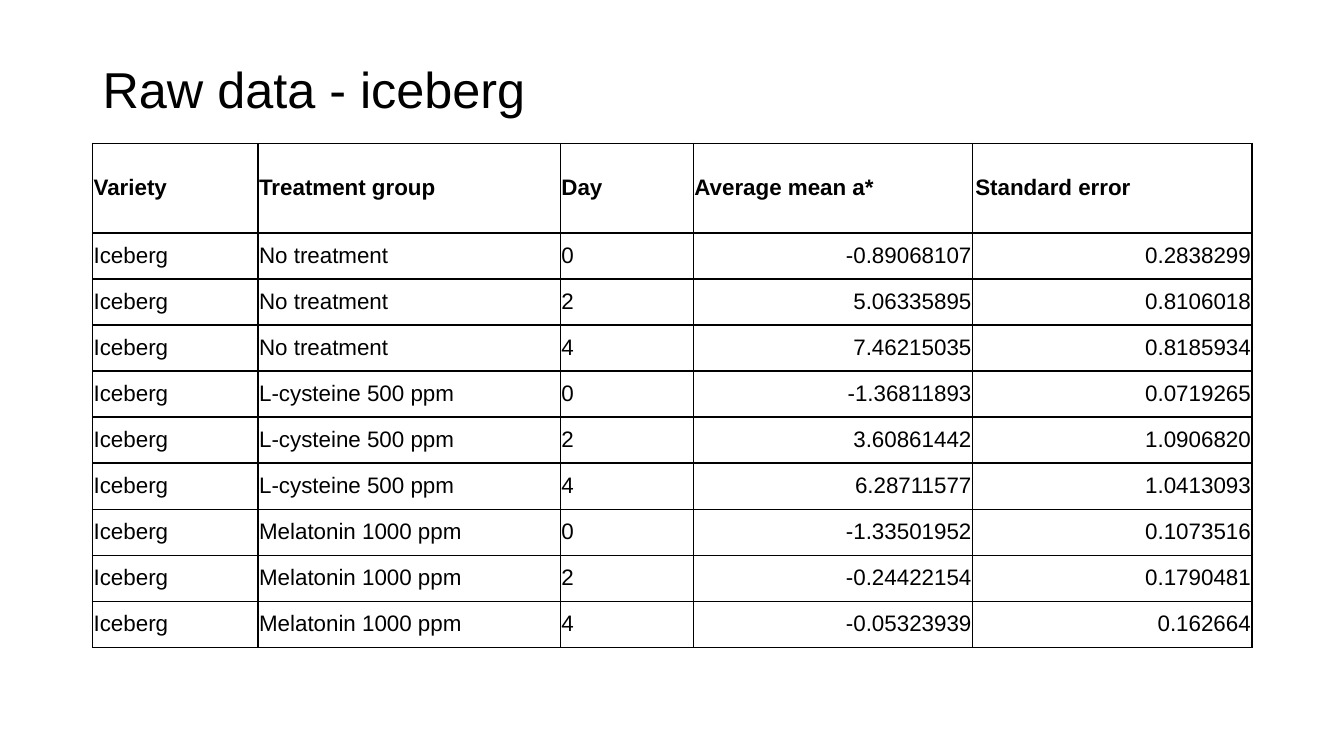
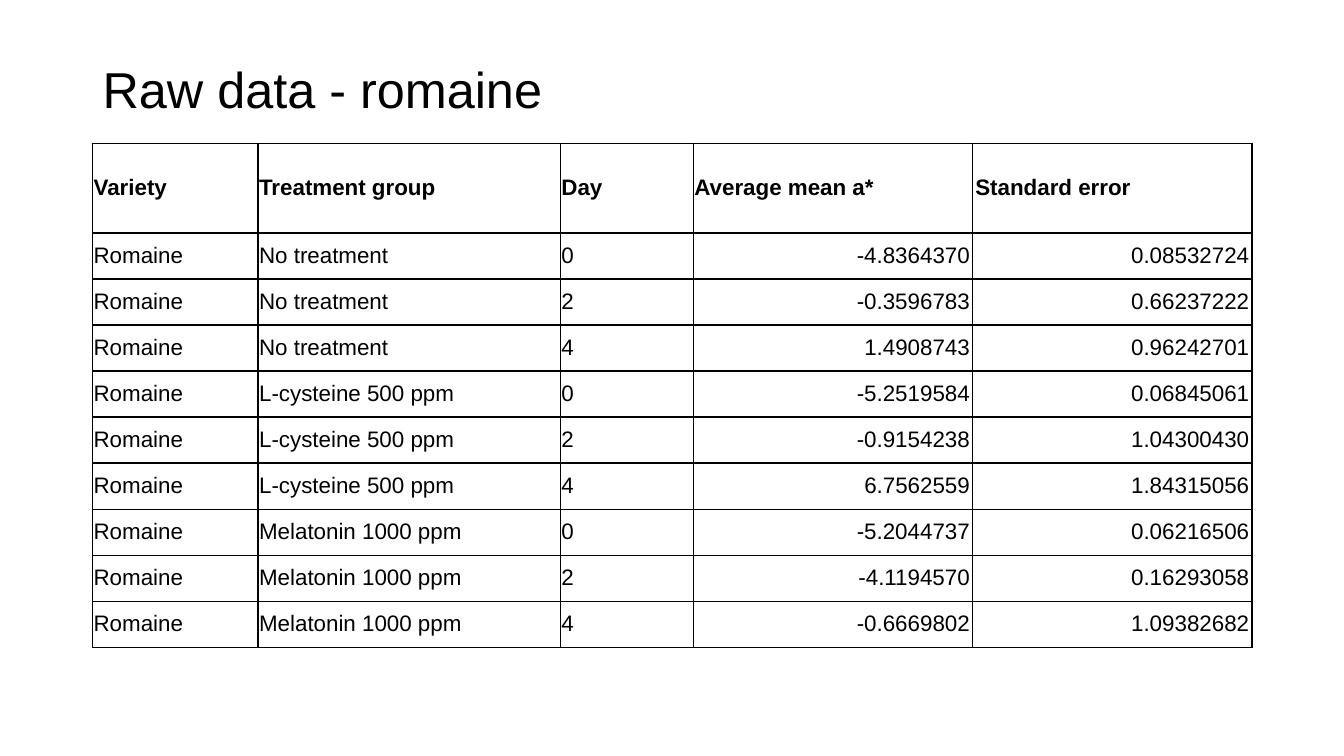
from pptx import Presentation
from pptx import util as u
from pptx.dml import color
from pptx.enum import text
from pptx.oxml import parse_xml
from pptx.oxml import ns

# Content: one entry per slide, with (average, standard error) in table order
HEADINGS = ["Variety", "Treatment group", "Day", "Average mean a*", "Standard error"]
TREATMENTS = ["No treatment", "L-cysteine 500 ppm", "Melatonin 1000 ppm"]
DAYS = ["0", "2", "4"]
VARIETIES = [
    {
        "title": "Raw data - iceberg",
        "variety": "Iceberg",
        "number_margins": (0.03, 0.03),
        "results": [
            ("-0.89068107", "0.2838299"),
            ("5.06335895", "0.8106018"),
            ("7.46215035", "0.8185934"),
            ("-1.36811893", "0.0719265"),
            ("3.60861442", "1.0906820"),
            ("6.28711577", "1.0413093"),
            ("-1.33501952", "0.1073516"),
            ("-0.24422154", "0.1790481"),
            ("-0.05323939", "0.162664"),
        ],
    },
    {
        "title": "Raw data - romaine",
        "variety": "Romaine",
        "number_margins": (0.07, 0.05),
        "results": [
            ("-4.8364370", "0.08532724"),
            ("-0.3596783", "0.66237222"),
            ("1.4908743", "0.96242701"),
            ("-5.2519584", "0.06845061"),
            ("-0.9154238", "1.04300430"),
            ("6.7562559", "1.84315056"),
            ("-5.2044737", "0.06216506"),
            ("-4.1194570", "0.16293058"),
            ("-0.6669802", "1.09382682"),
        ],
    },
]

# Shared style, lengths in centimetres
BLACK, WHITE = "000000", "FFFFFF"
LEFT, WIDTH = 2.33, 29.21
TITLE_TOP, TITLE_HEIGHT = 1.02, 2.59
TABLE_TOP = TITLE_TOP + TITLE_HEIGHT
COLUMN_WIDTHS = [4.17, 7.62, 3.35, 7.04, 7.04]
HEADER_HEIGHT, ROW_HEIGHT = 2.26, 1.16
FIRST_NUMBER_COLUMN = 3
TEXT_MARGINS = (0.03, 0.03)
HEADER_END_MARGINS = (0.07, 0.03)
TITLE_FONT = {"name": "Arial", "size": u.Pt(36), "bold": False}
HEADER_FONT = {"name": "Arial", "size": u.Pt(16), "bold": True}
BODY_FONT = {**HEADER_FONT, "bold": False}


def set_values(target, values):
    for name, value in values.items():
        setattr(target, name, value)


def paint(color_format, hex_color):
    color_format.rgb = color.RGBColor.from_string(hex_color)


def format_paragraph(paragraph, font, alignment):
    paragraph.alignment = alignment
    set_values(paragraph.runs[0].font, font)
    paint(paragraph.runs[0].font.color, BLACK)


def add_borders(cell):
    properties = cell._tc.get_or_add_tcPr()
    for side in "LRTB":
        properties.append(parse_xml(
            f'<a:ln{side} {ns.nsdecls("a")} w="{u.Pt(1)}"><a:solidFill>'
            f'<a:srgbClr val="{BLACK}"/></a:solidFill></a:ln{side}>'))


def fill_cell(cell, value, font, alignment, margins):
    horizontal, vertical = map(u.Cm, margins)
    cell.text = value
    set_values(cell, {
        "margin_left": horizontal, "margin_right": horizontal,
        "margin_top": vertical, "margin_bottom": vertical,
        "vertical_anchor": text.MSO_ANCHOR.MIDDLE,
    })
    format_paragraph(cell.text_frame.paragraphs[0], font, alignment)
    add_borders(cell)
    cell.fill.solid()
    paint(cell.fill.fore_color, WHITE)


def add_title(slide, wording):
    title = slide.shapes.title
    set_values(title, {
        "left": u.Cm(LEFT), "top": u.Cm(TITLE_TOP),
        "width": u.Cm(WIDTH), "height": u.Cm(TITLE_HEIGHT),
    })
    title.text_frame.text = wording
    set_values(title.text_frame, {
        "vertical_anchor": text.MSO_ANCHOR.MIDDLE,
        "word_wrap": True, "auto_size": text.MSO_AUTO_SIZE.NONE,
    })
    paragraph = title.text_frame.paragraphs[0]
    paragraph.line_spacing = 0.9
    format_paragraph(paragraph, TITLE_FONT, text.PP_ALIGN.LEFT)


def add_results_table(slide, data):
    groups = [(treatment, day) for treatment in TREATMENTS for day in DAYS]
    rows = [HEADINGS] + [
        [data["variety"], *group, *result]
        for group, result in zip(groups, data["results"])]
    heights = [HEADER_HEIGHT] + [ROW_HEIGHT] * len(groups)
    table = slide.shapes.add_table(
        len(rows), len(HEADINGS), u.Cm(LEFT), u.Cm(TABLE_TOP),
        u.Cm(WIDTH), u.Cm(sum(heights))).table
    set_values(table, {"first_row": False, "horz_banding": False})
    for column, width in zip(table.columns, COLUMN_WIDTHS):
        column.width = u.Cm(width)
    for row, height in zip(table.rows, heights):
        row.height = u.Cm(height)

    for row_index, values in enumerate(rows):
        is_header = row_index == 0
        for column_index, value in enumerate(values):
            alignment, margins = text.PP_ALIGN.LEFT, TEXT_MARGINS
            if is_header and column_index == len(HEADINGS) - 1:
                margins = HEADER_END_MARGINS
            elif not is_header and column_index >= FIRST_NUMBER_COLUMN:
                alignment, margins = text.PP_ALIGN.RIGHT, data["number_margins"]
            fill_cell(table.cell(row_index, column_index), value,
                      HEADER_FONT if is_header else BODY_FONT, alignment, margins)


# Build the slides
presentation = Presentation()
presentation.slide_width, presentation.slide_height = u.Cm(33.87), u.Cm(19.05)
title_only = presentation.slide_layouts[5]
for data in VARIETIES:
    slide = presentation.slides.add_slide(title_only)
    add_title(slide, data["title"])
    add_results_table(slide, data)
presentation.save("out.pptx")
